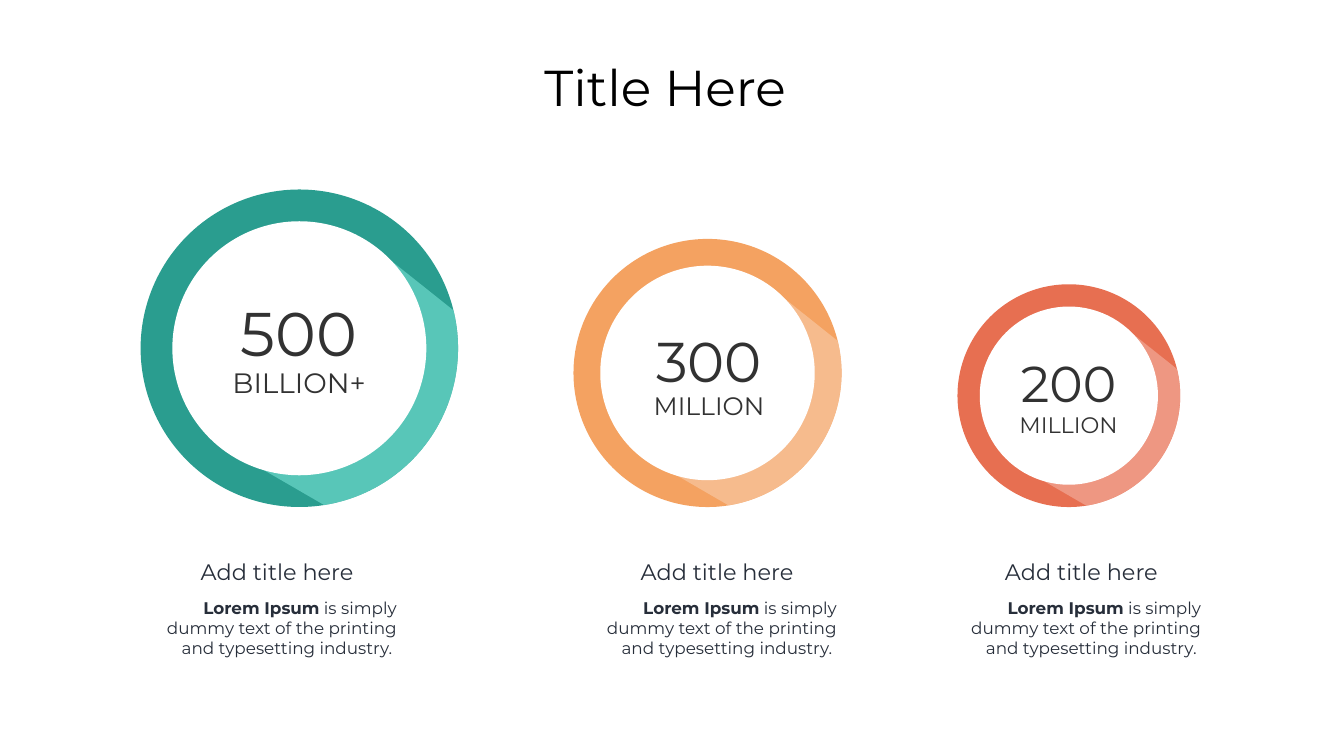
"""Build a slide with three ring figures, each with a heading and a description."""
from math import cos, radians, sin

from lxml import etree
from pptx import Presentation
from pptx.dml.color import RGBColor
from pptx.enum.shapes import MSO_SHAPE
from pptx.enum.text import MSO_ANCHOR, MSO_AUTO_SIZE, PP_ALIGN
from pptx.oxml.ns import qn
from pptx.util import Pt

PX = 9144
FONT = "Montserrat"
WHITE, BLACK, COUNT_COLOR, INK = "FFFFFF", "000000", "323232", "272E3A"
CENTER, RIGHT = PP_ALIGN.CENTER, PP_ALIGN.RIGHT
TOP, MIDDLE = MSO_ANCHOR.TOP, MSO_ANCHOR.MIDDLE
OVAL = MSO_SHAPE.OVAL
GROW, FIXED = MSO_AUTO_SIZE.SHAPE_TO_FIT_TEXT, MSO_AUTO_SIZE.NONE

TITLE = "Title Here "
HEADING = "Add title here"
LEAD, BODY = "Lorem Ipsum", " is simply dummy text of the printing and typesetting industry. "
RINGS = [
    {"left": 279, "diameter": 630, "color": "2A9D8F", "shine": "6CD8CA", "body_left": 304,
     "count": ("500", 88), "unit": ("BILLION+", 40), "count_box": (440, 580, 307, 234)},
    {"left": 1138, "diameter": 532, "color": "F4A261", "shine": "F8C7A0", "body_left": 1177,
     "count": ("300", 80), "unit": ("MILLION", 36), "count_box": (1276, 641, 262, 216)},
    {"left": 1900, "diameter": 442, "color": "E76F51", "shine": "F1A997", "body_left": 1900,
     "count": ("200", 72), "unit": ("MILLION", 32), "count_box": (2002, 692, 237, 198)},
]
RING_BOTTOM = 1006
HOLE_RATIO = 0.8
SHINE_START = [(0.43, -0.67), (0.97, -0.24)]
SHINE_ARC = range(-12, 82, 3)
SHINE_END = [(-0.53, 0.59)]


def rgb(color):
    return RGBColor.from_string(color)


def emu(*lengths):
    return [round(length * PX) for length in lengths]


def paint(shape, color, opacity=100):
    shape.shadow.inherit = False
    shape.line.fill.background()
    shape.fill.solid()
    shape.fill.fore_color.rgb = rgb(color)
    if opacity < 100:
        tint = shape.fill._xPr.find(f".//{qn('a:srgbClr')}")
        etree.SubElement(tint, qn("a:alpha")).set("val", str(opacity * 1000))


def add_circle(slide, center_x, center_y, diameter, color):
    left, top = center_x - diameter / 2, center_y - diameter / 2
    paint(slide.shapes.add_shape(OVAL, *emu(left, top, diameter, diameter)), color)


def add_shine(slide, center_x, center_y, radius, color):
    arc = [(cos(radians(angle)), sin(radians(angle))) for angle in SHINE_ARC]
    points = [emu(center_x + x * radius, center_y + y * radius)
              for x, y in SHINE_START + arc + SHINE_END]
    outline = slide.shapes.build_freeform(*points[0])
    outline.add_line_segments(points[1:], close=True)
    paint(outline.convert_to_shape(), color, opacity=70)


def write(shape, paragraphs, color=INK, align=CENTER, anchor=TOP, wrap=True,
          inset=None, spacing=None, fit=GROW):
    """Fill a shape with paragraphs, each a list of (text, size, bold) runs."""
    frame = shape.text_frame
    frame.word_wrap, frame.auto_size, frame.vertical_anchor = wrap, fit, anchor
    if inset is not None:
        frame.margin_left = frame.margin_right = inset * PX
        frame.margin_top = frame.margin_bottom = inset * PX
    for index, runs in enumerate(paragraphs):
        paragraph = frame.add_paragraph() if index else frame.paragraphs[0]
        paragraph.alignment = align
        if spacing:
            paragraph.line_spacing = spacing
        for text, size, bold in runs:
            run = paragraph.add_run()
            run.text = text
            run.font.name, run.font.size, run.font.bold = FONT, Pt(size), bold
            run.font.color.rgb = rgb(color)


def add_ring(slide, ring):
    radius = ring["diameter"] / 2
    center_x, center_y = ring["left"] + radius, RING_BOTTOM - radius
    add_circle(slide, center_x, center_y, ring["diameter"], ring["color"])
    add_shine(slide, center_x, center_y, radius, ring["shine"])
    add_circle(slide, center_x, center_y, ring["diameter"] * HOLE_RATIO, WHITE)
    count = slide.shapes.add_textbox(*emu(*ring["count_box"]))
    write(count, [[(*ring["count"], False)], [(*ring["unit"], False)]],
          color=COUNT_COLOR, anchor=MIDDLE, wrap=False, inset=20, spacing=0.9)


def add_caption(slide, left):
    heading = slide.shapes.add_textbox(*emu(left + 82, 1102, 328, 64))
    write(heading, [[(HEADING, 32, False)]], wrap=False)
    description = slide.shapes.add_textbox(*emu(left, 1181, 493, 131))
    write(description, [[(LEAD, 24, True), (BODY, 24, False)]], align=RIGHT)


def main():
    deck = Presentation()
    deck.slide_width, deck.slide_height = emu(2667, 1500)
    slide = deck.slides.add_slide(deck.slide_layouts[5])
    title = slide.shapes.title
    title.left, title.top, title.width, title.height = emu(183, 80, 2300, 182)
    write(title, [[(TITLE, 72, False)]], color=BLACK, anchor=MIDDLE, fit=FIXED)
    for ring in RINGS:
        add_ring(slide, ring)
        add_caption(slide, ring["body_left"])
    deck.save("out.pptx")


if __name__ == "__main__":
    main()
